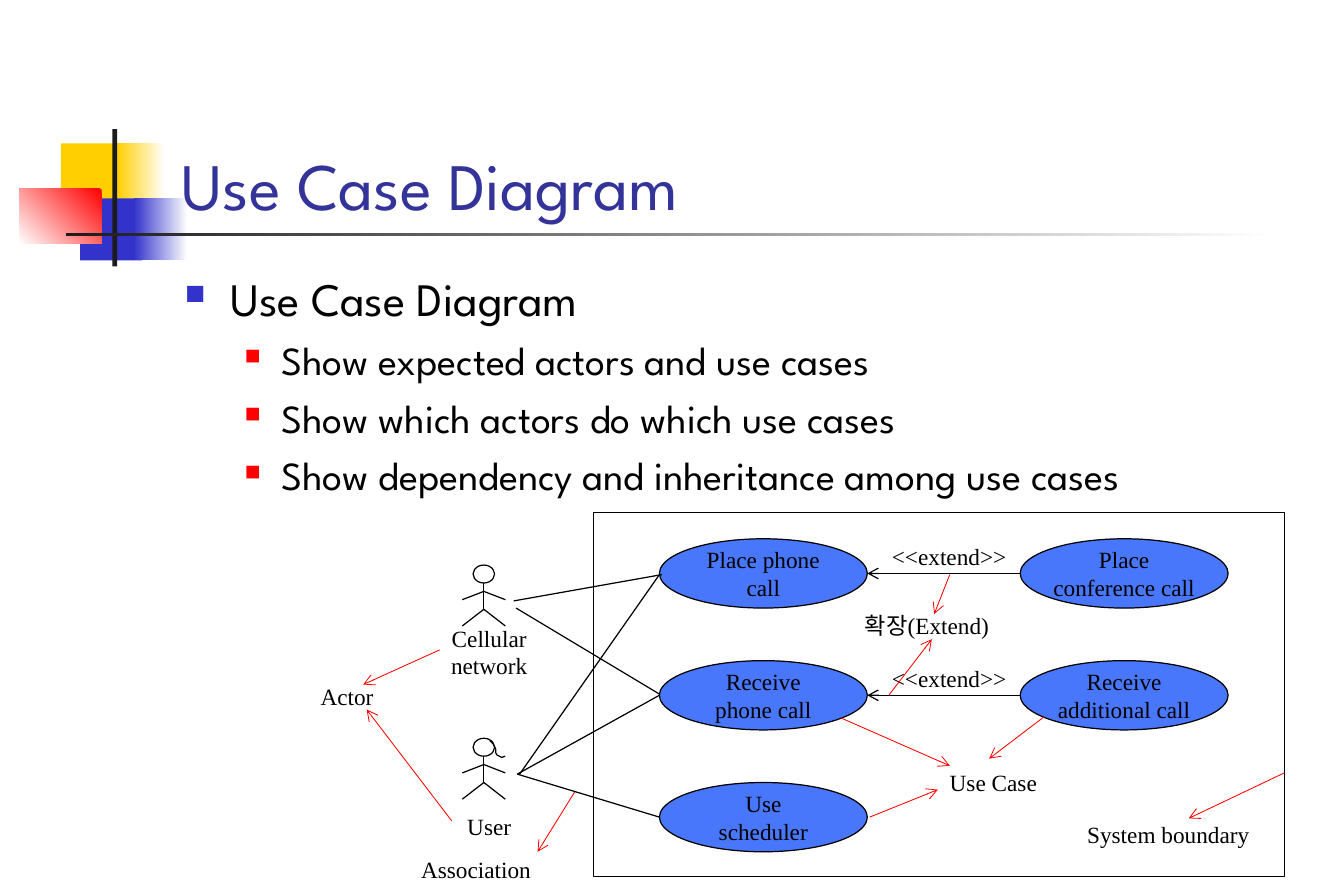
from dataclasses import dataclass
from typing import Any, Optional

import lxml.etree
import pptx
import pptx.dml.color
import pptx.enum.shapes
import pptx.enum.text
import pptx.oxml.ns
import pptx.util

Inches = pptx.util.Inches
Pt = pptx.util.Pt
RGBColor = pptx.dml.color.RGBColor
Preset = pptx.enum.shapes.MSO_SHAPE
Align = pptx.enum.text.PP_ALIGN
Anchor = pptx.enum.text.MSO_ANCHOR
qn = pptx.oxml.ns.qn

WHITE = RGBColor(0xFF, 0xFF, 0xFF)
BLACK = RGBColor(0x00, 0x00, 0x00)
CHARCOAL = RGBColor(0x1C, 0x1C, 0x1C)
YELLOW = RGBColor(0xFF, 0xCF, 0x01)
BLUE = RGBColor(0x33, 0x33, 0xCC)
RED = RGBColor(0xFF, 0x00, 0x00)
TITLE_BLUE = RGBColor(0x33, 0x33, 0x99)
CASE_BLUE = RGBColor(0x48, 0x77, 0xFC)

HEADING_FONT = "League Spartan"
LABEL_FONT = "Times New Roman"
CASE_W, CASE_H = 1.74, 0.58
LABEL_W, LABEL_H = 1.19, 0.29
LEFT_CASES, RIGHT_CASES = 5.52, 8.54
FIRST_ROW, ROW_STEP = 4.51, 1.02
ACTOR_X = 4.05


@dataclass
class Block:
    left: float
    top: float
    width: float
    height: float
    start: RGBColor
    end: Optional[RGBColor] = None
    angle: float = 180


@dataclass
class Label:
    text: str
    left: float
    top: float
    width: float = LABEL_W


@dataclass
class UseCase:
    text: str
    left: float
    row: int


@dataclass
class Link:
    x1: float
    y1: float
    x2: float
    y2: float


@dataclass
class Bullet:
    text: str
    size: int
    color: RGBColor
    scale: int
    margin: float
    hanging: float
    before: int


def set_format(target: Any, values: dict[str, Any]) -> None:
    for name, value in values.items():
        setattr(target, name, value)


def set_font(font: Any, name: str, size: int, color: RGBColor) -> None:
    set_format(font, {"name": name, "size": Pt(size)})
    font.color.rgb = color


def add_preset(shapes: Any, preset: Any, left: float, top: float, width: float, height: float,
               fill: Optional[RGBColor] = None, outlined: bool = True) -> Any:
    shape = shapes.add_shape(preset, Inches(left), Inches(top), Inches(width), Inches(height))
    shape.shadow.inherit = False
    if fill is None:
        shape.fill.background()
    else:
        shape.fill.solid()
        shape.fill.fore_color.rgb = fill
    if outlined:
        shape.line.color.rgb = BLACK
        shape.line.width = Pt(0.75)
    else:
        shape.line.fill.background()
    return shape


def add_block(shapes: Any, block: Block) -> None:
    shape = add_preset(shapes, Preset.RECTANGLE, block.left, block.top,
                       block.width, block.height, block.start, outlined=False)
    if block.end is not None:
        shape.fill.gradient()
        shape.fill.gradient_angle = block.angle
        for stop, color, position in zip(shape.fill.gradient_stops, (block.start, block.end), (0, 1)):
            stop.color.rgb = color
            stop.position = position


def add_link(shapes: Any, link: Link, color: RGBColor = BLACK, width: float = 0.75,
             arrow: bool = False) -> None:
    line = shapes.add_connector(pptx.enum.shapes.MSO_CONNECTOR.STRAIGHT, Inches(link.x1),
                                Inches(link.y1), Inches(link.x2), Inches(link.y2))
    line.line.color.rgb = color
    line.line.width = Pt(width)
    if arrow:
        lxml.etree.SubElement(line.line._get_or_add_ln(), qn("a:tailEnd"), type="arrow")
    lxml.etree.SubElement(line._element.spPr, qn("a:effectLst"))


def write_label(frame: Any, text: str) -> None:
    set_format(frame, {"text": text, "word_wrap": False, "vertical_anchor": Anchor.MIDDLE})
    for paragraph in frame.paragraphs:
        paragraph.alignment = Align.CENTER
        set_font(paragraph.font, LABEL_FONT, 14, BLACK)


def add_label(shapes: Any, label: Label) -> None:
    box = shapes.add_textbox(Inches(label.left), Inches(label.top),
                             Inches(label.width), Inches(LABEL_H))
    write_label(box.text_frame, label.text)


def add_use_case(shapes: Any, case: UseCase) -> None:
    oval = add_preset(shapes, Preset.OVAL, case.left, FIRST_ROW + case.row * ROW_STEP,
                      CASE_W, CASE_H, CASE_BLUE)
    write_label(oval.text_frame, case.text)


def add_actor(shapes: Any, top: float) -> None:
    figure = shapes.add_group_shape().shapes
    add_preset(figure, Preset.OVAL, ACTOR_X - 0.09, top, 0.18, 0.15)
    add_link(figure, Link(ACTOR_X, top + 0.15, ACTOR_X, top + 0.37))
    for joint, drop in ((0.37, 0.14), (0.22, 0.07)):
        for side in (-0.18, 0.18):
            add_link(figure, Link(ACTOR_X, top + joint, ACTOR_X + side, top + joint + drop))


def add_curl(shapes: Any, points: list[tuple[float, float]]) -> None:
    emu = [(Inches(x), Inches(y)) for x, y in points]
    builder = shapes.build_freeform(*emu[0], scale=1.0)
    builder.add_line_segments(emu[1:], close=False)
    curl = builder.convert_to_shape()
    curl.shadow.inherit = False
    curl.fill.background()
    curl.line.color.rgb = BLACK
    curl.line.width = Pt(0.75)


def write_bullet(paragraph: Any, bullet: Bullet) -> None:
    paragraph.text = bullet.text
    properties = paragraph._p.get_or_add_pPr()
    properties.set("marL", str(Inches(bullet.margin)))
    properties.set("indent", str(-Inches(bullet.hanging)))
    mark_color = lxml.etree.SubElement(properties, qn("a:buClr"))
    lxml.etree.SubElement(mark_color, qn("a:srgbClr"), val=str(bullet.color))
    lxml.etree.SubElement(properties, qn("a:buSzPct"), val=str(bullet.scale * 1000))
    lxml.etree.SubElement(properties, qn("a:buChar"), char="■")
    paragraph.space_before = Pt(bullet.before)
    set_font(paragraph.font, HEADING_FONT, bullet.size, BLACK)


BLOCKS = [
    Block(0.51, 1.2, 0.54, 0.52, YELLOW),
    Block(0.98, 1.2, 0.4, 0.52, WHITE, YELLOW),
    Block(0.67, 1.66, 0.52, 0.52, BLUE),
    Block(1.12, 1.66, 0.45, 0.52, WHITE, BLUE),
    Block(0.16, 1.58, 0.69, 0.46, RED, WHITE, 225),
    Block(0.94, 1.08, 0.04, 1.15, CHARCOAL),
    Block(0.55, 1.95, 10.12, 0.03, WHITE, CHARCOAL),
]
BULLETS = [Bullet("Use Case Diagram", 28, BLUE, 60, 0.38, 0.38, 0)] + [
    Bullet(text, 24, RED, 55, 0.81, 0.31, 6)
    for text in ("Show expected actors and use cases", "Show which actors do which use cases",
                 "Show dependency and inheritance among use cases")
]
USE_CASES = [
    UseCase("Place phone\ncall", LEFT_CASES, 0), UseCase("Receive\nphone call", LEFT_CASES, 1),
    UseCase("Use\nscheduler", LEFT_CASES, 2), UseCase("Place\nconference call", RIGHT_CASES, 0),
    UseCase("Receive\nadditional call", RIGHT_CASES, 1),
]
LABELS = [
    Label("Use Case", 7.72, 6.4), Label("System boundary", 8.88, 6.84, 1.8),
    Label("User", 3.5, 6.77), Label("Cellular\nnetwork", 3.5, 5.31), Label("Actor", 2.31, 5.68),
    Label("Association", 3.39, 7.13), Label("확장(Extend)", 6.96, 5.09, 1.6),
]
ASSOCIATIONS = [
    Link(4.3, 5.03, 5.54, 4.81), Link(4.32, 5.09, 5.52, 5.81), Link(4.35, 6.48, 5.52, 4.81),
    Link(4.33, 6.48, 5.52, 5.82), Link(4.33, 6.48, 5.52, 6.84),
]
CALLOUTS = [
    Link(3.68, 5.44, 3.04, 5.73), Link(3.78, 6.87, 3.07, 5.94), Link(4.81, 6.63, 4.5, 7.13),
    Link(7.04, 6.01, 7.95, 6.41), Link(7.28, 6.84, 7.85, 6.61), Link(8.74, 6, 8.28, 6.35),
    Link(10.75, 6.47, 9.95, 6.85), Link(7.95, 4.81, 7.82, 5.14), Link(7.44, 5.82, 7.8, 5.35),
]
HAIR = [(4.1, 6.2), (4.13, 6.23), (4.15, 6.27), (4.15, 6.3), (4.16, 6.32),
        (4.18, 6.33), (4.2, 6.34), (4.23, 6.33)]


def main() -> None:
    deck = pptx.Presentation()
    set_format(deck, {"slide_width": Inches(11.25), "slide_height": Inches(7.5)})
    slide = deck.slides.add_slide(deck.slide_layouts[5])
    shapes = slide.shapes

    # Corner ornament, with the title in front of it
    for block in BLOCKS:
        add_block(shapes, block)
    title = shapes.title
    shapes._spTree.append(title._element)
    set_format(title, {"left": Inches(1.42), "top": Inches(0.67),
                       "width": Inches(9.59), "height": Inches(1.25)})
    set_format(title.text_frame, {"text": "Use Case Diagram", "vertical_anchor": Anchor.BOTTOM,
                                  "auto_size": pptx.enum.text.MSO_AUTO_SIZE.NONE})
    heading = title.text_frame.paragraphs[0]
    heading.alignment = Align.LEFT
    set_font(heading.font, HEADING_FONT, 40, TITLE_BLUE)

    # Bullet list
    body = shapes.add_textbox(Inches(1.45), Inches(2.21), Inches(9.56), Inches(4.5)).text_frame
    body.word_wrap = True
    for index, bullet in enumerate(BULLETS):
        write_bullet(body.add_paragraph() if index else body.paragraphs[0], bullet)

    # System boundary, use cases and actors
    add_preset(shapes, Preset.RECTANGLE, 4.97, 4.29, 5.78, 3.05)
    for case in USE_CASES:
        add_use_case(shapes, case)
    for actor_top in (4.73, 6.18):
        add_actor(shapes, actor_top)
    add_curl(shapes, HAIR)

    # Extend relations
    for row in range(2):
        row_top = FIRST_ROW + row * ROW_STEP
        middle = row_top + CASE_H / 2
        add_label(shapes, Label("<<extend>>", 7.35, row_top))
        add_link(shapes, Link(RIGHT_CASES, middle, LEFT_CASES + CASE_W, middle), arrow=True)

    # Labels, associations and red callout arrows
    for label in LABELS:
        add_label(shapes, label)
    for association in ASSOCIATIONS:
        add_link(shapes, association)
    for callout in CALLOUTS:
        add_link(shapes, callout, RED, 0.5, arrow=True)

    deck.save("out.pptx")


if __name__ == "__main__":
    main()
